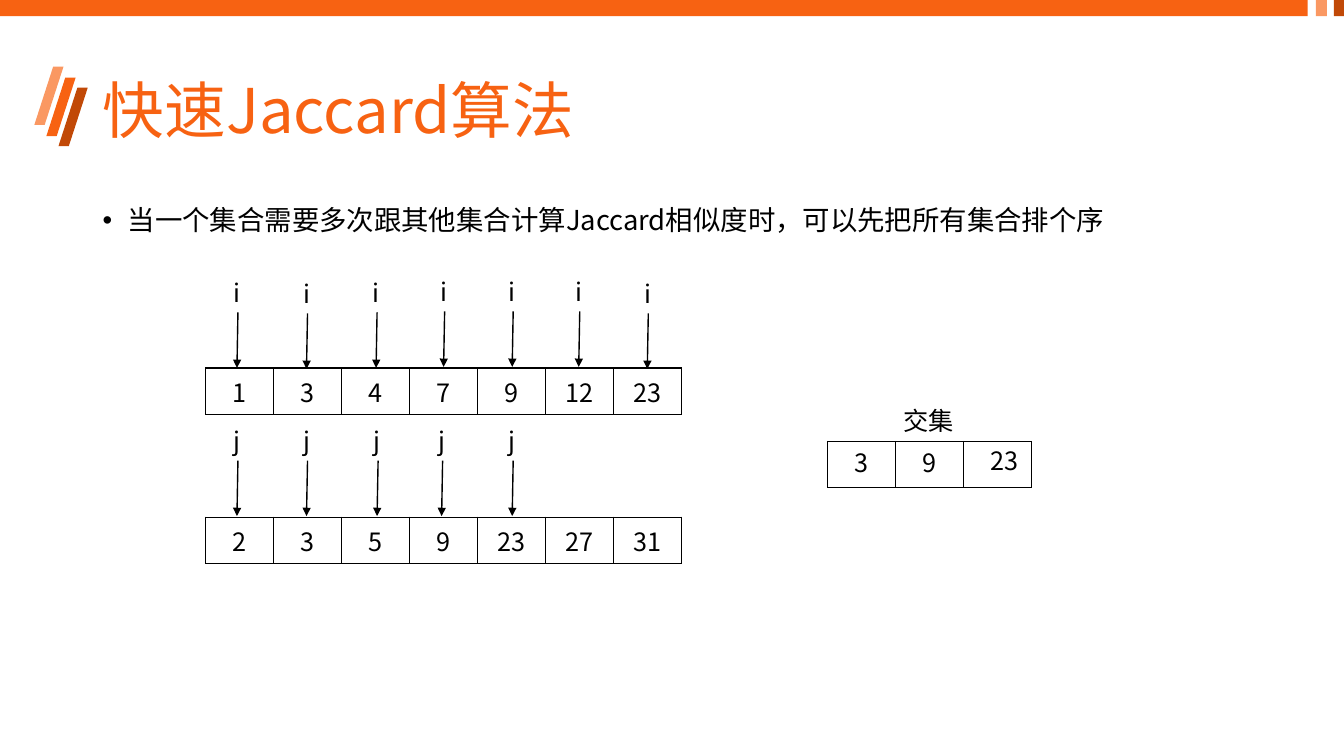
from dataclasses import dataclass

from lxml.etree import SubElement
from pptx import Presentation
from pptx.dml.color import RGBColor
from pptx.enum.shapes import MSO_CONNECTOR as Connector, MSO_SHAPE as Shape
from pptx.enum.text import MSO_ANCHOR as Anchor, MSO_AUTO_SIZE as AutoSize, PP_ALIGN as Align
from pptx.oxml.ns import qn
from pptx.util import Inches, Pt

FONT = "Noto Sans CJK SC"
COLORS = {"orange": "F76212", "light": "FA9862", "dark": "C14907", "black": "000000"}
CELL_WIDTH, CELL_HEIGHT = 0.674, 0.46


@dataclass
class Decoration:
    kind: Shape
    left: float
    top: float
    width: float
    height: float
    color: str


@dataclass
class NumberSet:
    left: float
    top: float
    values: list[str]


@dataclass
class Label:
    text: str
    left: float
    top: float
    width: float


@dataclass
class Pointer:
    name: str
    left: float
    top: float


DECORATIONS = [
    Decoration(Shape.PARALLELOGRAM, 0.46, 0.77, 0.29, 0.58, "orange"),
    Decoration(Shape.PARALLELOGRAM, 0.34, 0.66, 0.29, 0.58, "light"),
    Decoration(Shape.PARALLELOGRAM, 0.58, 0.87, 0.29, 0.58, "dark"),
    Decoration(Shape.RECTANGLE, 0, 0, 12.97, 0.16, "orange"),
    Decoration(Shape.RECTANGLE, 13.05, 0, 0.11, 0.16, "light"),
    Decoration(Shape.RECTANGLE, 13.23, 0, 0.11, 0.16, "dark"),
]
NUMBER_SETS = [
    NumberSet(2.04, 3.65, ["1", "3", "4", "7", "9", "12", "23"]),
    NumberSet(2.04, 5.13, ["2", "3", "5", "9", "23", "27", "31"]),
    NumberSet(8.21, 4.38, ["", "", ""]),
]
LABELS = [
    Label("交集", 8.86, 3.97, 0.71),
    Label("3", 8.38, 4.39, 0.34),
    Label("9", 9.05, 4.39, 0.34),
    Label("23", 9.73, 4.37, 0.48),
]
I_PLACES = [(2.22, 2.7), (2.91, 2.71), (3.6, 2.7), (4.27, 2.69),
            (4.95, 2.69), (5.61, 2.69), (6.29, 2.71)]
J_LEFTS = [2.22, 2.91, 3.61, 4.25, 4.95]
POINTERS = [Pointer("i", left, top) for left, top in I_PLACES]
POINTERS += [Pointer("j", left, 4.17) for left in J_LEFTS]


def rgb(color: str) -> RGBColor:
    return RGBColor.from_string(COLORS[color])


def style(paragraph, size: float, color: str = "black") -> None:
    font = paragraph.font
    font.size = Pt(size)
    font.name = FONT
    font.color.rgb = rgb(color)
    properties = paragraph._p.pPr.find(qn("a:defRPr"))
    SubElement(properties, qn("a:ea"), typeface=FONT)


def draw_decoration(slide, item: Decoration) -> None:
    shape = slide.shapes.add_shape(item.kind, Inches(item.left), Inches(item.top),
                                   Inches(item.width), Inches(item.height))
    if item.kind == Shape.PARALLELOGRAM:
        shape.adjustments[0] = 0.646
    shape.shadow.inherit = False
    shape.fill.solid()
    shape.fill.fore_color.rgb = rgb(item.color)
    shape.line.fill.background()


def write_title(slide, text: str) -> None:
    title = slide.shapes.title
    title.left, title.top = Inches(0.92), Inches(0.4)
    title.width, title.height = Inches(11.5), Inches(1.45)
    title.text_frame.text = text
    title.text_frame.vertical_anchor = Anchor.MIDDLE
    heading = title.text_frame.paragraphs[0]
    heading.alignment = Align.LEFT
    heading.line_spacing = 0.9
    style(heading, 44, "orange")


def write_bullet(slide, text: str) -> None:
    frame = slide.shapes.add_textbox(Inches(0.92), Inches(2), Inches(11.5), Inches(0.41)).text_frame
    frame.word_wrap = True
    frame.text = text
    bullet = frame.paragraphs[0]
    bullet.line_spacing = 0.9
    properties = bullet._p.get_or_add_pPr()
    properties.set("marL", str(Inches(0.25)))
    properties.set("indent", str(Inches(-0.25)))
    SubElement(properties, qn("a:buFont"), typeface="Arial")
    SubElement(properties, qn("a:buChar"), char="•")
    style(bullet, 19.6)


def add_borders(cell) -> None:
    properties = cell._tc.get_or_add_tcPr()
    for position, side in enumerate(("a:lnL", "a:lnR", "a:lnT", "a:lnB")):
        border = properties.makeelement(qn(side), {"w": str(Pt(1))})
        fill = SubElement(border, qn("a:solidFill"))
        SubElement(fill, qn("a:srgbClr"), val=COLORS["black"])
        properties.insert(position, border)


def draw_number_set(slide, numbers: NumberSet) -> None:
    count = len(numbers.values)
    table = slide.shapes.add_table(1, count, Inches(numbers.left), Inches(numbers.top),
                                   Inches(CELL_WIDTH * count), Inches(CELL_HEIGHT)).table
    table.first_row = table.horz_banding = False
    for column, value in enumerate(numbers.values):
        table.columns[column].width = Inches(CELL_WIDTH)
        cell = table.cell(0, column)
        cell.text = value
        cell.fill.background()
        add_borders(cell)
        number = cell.text_frame.paragraphs[0]
        number.alignment = Align.CENTER
        style(number, 18)


def write_label(slide, label: Label) -> None:
    frame = slide.shapes.add_textbox(Inches(label.left), Inches(label.top),
                                     Inches(label.width), Inches(0.4)).text_frame
    frame.word_wrap = False
    frame.auto_size = AutoSize.SHAPE_TO_FIT_TEXT
    frame.text = label.text
    style(frame.paragraphs[0], 18)


def draw_pointer(slide, pointer: Pointer) -> None:
    write_label(slide, Label(pointer.name, pointer.left, pointer.top, 0.27))
    arrow = slide.shapes.add_connector(
        Connector.STRAIGHT, Inches(pointer.left + 0.14), Inches(pointer.top + 0.4),
        Inches(pointer.left + 0.13), Inches(pointer.top + 0.95))
    arrow.line.color.rgb = rgb("black")
    arrow.line.width = Pt(1)
    SubElement(arrow.line._get_or_add_ln(), qn("a:tailEnd"), type="triangle")
    SubElement(arrow._element.spPr, qn("a:effectLst"))


def main() -> None:
    deck = Presentation()
    deck.slide_width, deck.slide_height = Inches(13.33), Inches(7.5)
    slide = deck.slides.add_slide(deck.slide_layouts.get_by_name("Title Only"))
    for decoration in DECORATIONS:
        draw_decoration(slide, decoration)
    write_title(slide, "快速Jaccard算法")
    write_bullet(slide, "当一个集合需要多次跟其他集合计算Jaccard相似度时，可以先把所有集合排个序")
    for numbers in NUMBER_SETS:
        draw_number_set(slide, numbers)
    for label in LABELS:
        write_label(slide, label)
    for pointer in POINTERS:
        draw_pointer(slide, pointer)
    deck.save("out.pptx")


if __name__ == "__main__":
    main()
